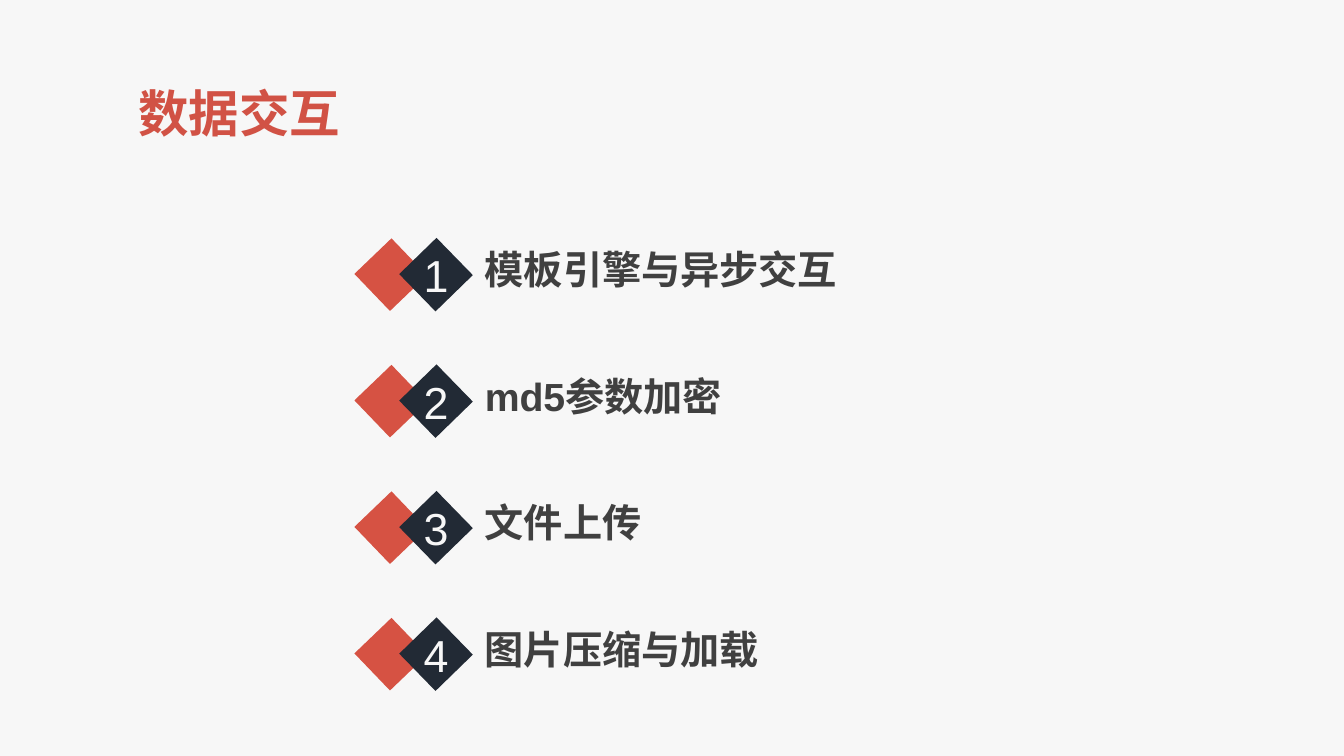
import pptx
import pptx.dml.color
import pptx.enum.shapes
import pptx.enum.text
import pptx.util

Inches = pptx.util.Inches
RGBColor = pptx.dml.color.RGBColor
PP_ALIGN = pptx.enum.text.PP_ALIGN
MSO_ANCHOR = pptx.enum.text.MSO_ANCHOR

BACKGROUND = RGBColor(0xF7, 0xF7, 0xF7)
TITLE_RED = RGBColor(0xD1, 0x52, 0x45)
DIAMOND_RED = RGBColor(0xD6, 0x52, 0x43)
NAVY = RGBColor(0x22, 0x2A, 0x35)
GREY = RGBColor(0x40, 0x40, 0x40)

TITLE = {"size": pptx.util.Pt(36), "bold": True, "name": "Arial"}
TOPIC = {"size": pptx.util.Pt(28), "bold": True, "name": "Arial"}
NUMBER = {"size": pptx.util.Pt(32), "bold": False, "name": "Arial"}

TOPICS = ["模板引擎与异步交互", "md5参数加密", "文件上传", "图片压缩与加载"]
FIRST_TOP = 2.36
PITCH = 1.255
DIAMOND = [(4.33, 0), (4.69, 0.37), (4.32, 0.73), (3.96, 0.36)]


def write(sp, text, font, color, align):
    tf = sp.text_frame
    tf.word_wrap = True
    p = tf.paragraphs[0]
    p.alignment = align
    r = p.add_run()
    r.text = text
    for key, value in font.items():
        setattr(r.font, key, value)
    r.font.color.rgb = color
    return p


def paint(sp, color):
    sp.shadow.inherit = False
    sp.fill.solid()
    sp.fill.fore_color.rgb = color
    sp.line.fill.background()


prs = pptx.Presentation()
prs.slide_width = Inches(13.33)
prs.slide_height = Inches(7.5)
s = prs.slides.add_slide(prs.slide_layouts[6])
s.background.fill.solid()
s.background.fill.fore_color.rgb = BACKGROUND

sp = s.shapes.add_textbox(Inches(0.14), Inches(0.77), Inches(3.33), Inches(0.71))
write(sp, "数据交互", TITLE, TITLE_RED, PP_ALIGN.RIGHT)

for i, topic in enumerate(TOPICS):
    top = FIRST_TOP + i * PITCH

    sp = s.shapes.add_textbox(Inches(4.71), Inches(top + 0.08), Inches(4.7), Inches(0.57))
    p = write(sp, topic, TOPIC, GREY, PP_ALIGN.LEFT)
    p.line_spacing = 0.9

    sp = s.shapes.add_shape(pptx.enum.shapes.MSO_SHAPE.RECTANGLE,
                            Inches(3.62), Inches(top + 0.11), Inches(0.51), Inches(0.51))
    sp.rotation = 46.2
    paint(sp, DIAMOND_RED)

    corners = [(Inches(x), Inches(top + y)) for x, y in DIAMOND]
    builder = s.shapes.build_freeform(*corners[0])
    builder.add_line_segments(corners[1:], close=True)
    sp = builder.convert_to_shape()
    paint(sp, NAVY)
    sp.text_frame.vertical_anchor = MSO_ANCHOR.MIDDLE
    write(sp, str(i + 1), NUMBER, BACKGROUND, PP_ALIGN.CENTER)

prs.save("out.pptx")
